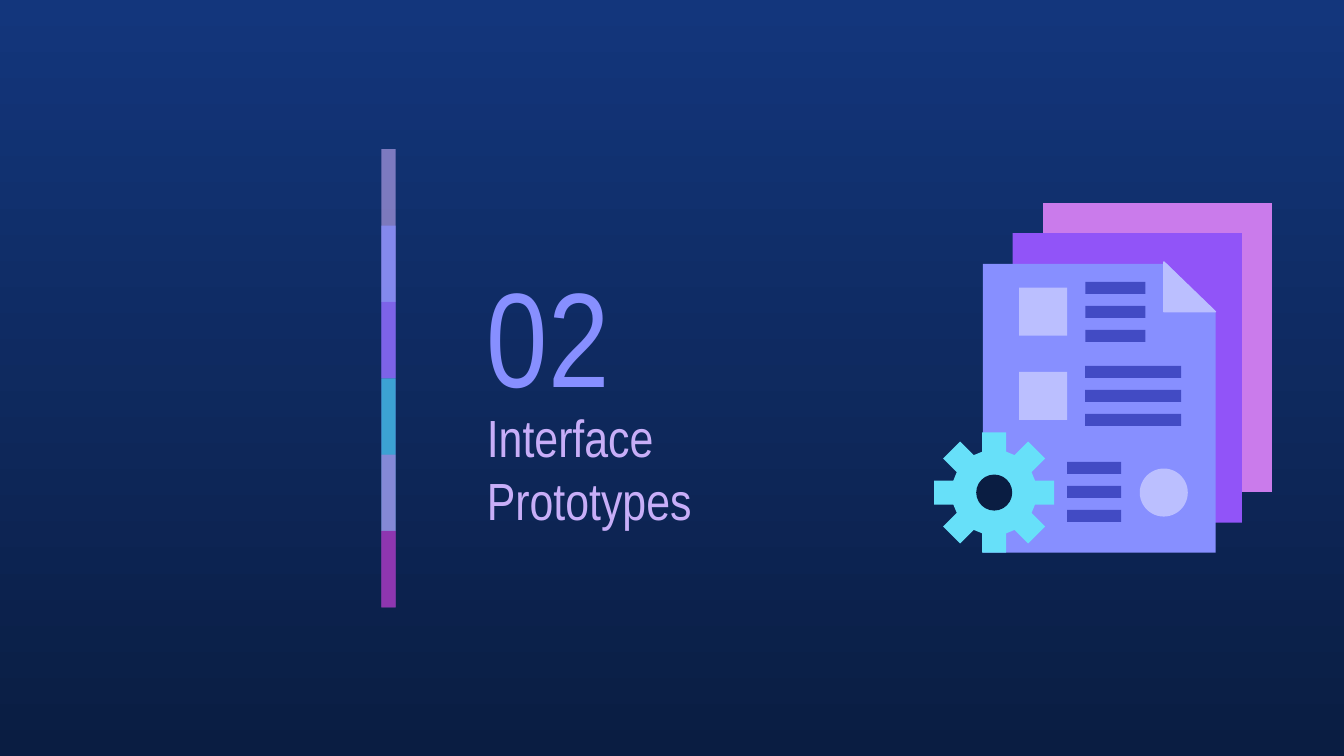
from math import cos, pi, sin

from lxml import etree
from pptx import Presentation
from pptx.dml.color import RGBColor
from pptx.enum.shapes import MSO_SHAPE
from pptx.enum.text import MSO_ANCHOR, MSO_AUTO_SIZE, PP_ALIGN
from pptx.oxml.ns import qn
from pptx.util import Cm, Pt

RECTANGLE = MSO_SHAPE.RECTANGLE
OVAL = MSO_SHAPE.OVAL
MIDDLE = MSO_ANCHOR.MIDDLE
LEFT = PP_ALIGN.LEFT
FIXED_SIZE = MSO_AUTO_SIZE.NONE

FONT = "Arial Narrow"
COLOURS = {
    "sky": "13367C",
    "night": "0A1D42",
    "lilac": "C8AEF8",
    "periwinkle": "878FFF",
    "violet": "9154F8",
    "teal": "35C2DF",
    "orchid": "CA7BEB",
    "plum": "972CB4",
    "aqua": "67E0F9",
    "pale": "BBBFFF",
    "indigo": "424BC4",
}
STRIPE = [("lilac", 59), ("periwinkle", 74), ("violet", 53),
          ("teal", 76), ("orchid", 56), ("plum", 74)]
ICON_UNIT = Cm(0.227)


def colour(name):
    return RGBColor.from_string(COLOURS[name])


def paint(shape, fill, opacity=100, outline=None):
    shape.shadow.inherit = False
    shape.fill.solid()
    shape.fill.fore_color.rgb = colour(fill)
    if opacity < 100:
        tint = shape.fill._xPr.find(qn("a:solidFill"))[0]
        etree.SubElement(tint, qn("a:alpha")).set("val", str(opacity * 1000))
    if outline:
        shape.line.color.rgb = colour(outline)
        shape.line.width = Pt(0.75)
    else:
        shape.line.fill.background()


def write_text(holder, text, *, size, tone):
    frame = holder.text_frame
    frame.word_wrap = True
    frame.auto_size = FIXED_SIZE
    frame.vertical_anchor = MIDDLE
    frame.margin_left = frame.margin_right = Cm(0.25)
    frame.margin_top = frame.margin_bottom = Cm(0.25)
    para = frame.paragraphs[0]
    para.alignment = LEFT
    para.line_spacing = 1.0
    para.space_before = Pt(0)
    span = para.add_run()
    span.text = text
    span.font.name = FONT
    span.font.size = Pt(size)
    span.font.bold = False
    span.font.color.rgb = colour(tone)


def place(holder, left, top, width, height):
    holder.left, holder.top = left, top
    holder.width, holder.height = width, height


def set_background(page):
    fill = page.background.fill
    fill.gradient()
    fill.gradient_angle = 270
    for stop, name in zip(fill.gradient_stops, ("sky", "night")):
        stop.color.rgb = colour(name)


def add_stripe(page, left, top, width, height):
    bars = page.shapes.add_group_shape().shapes
    step = height // len(STRIPE)
    for index, (name, opacity) in enumerate(STRIPE):
        bar_height = min(2, len(STRIPE) - index) * step
        bar = bars.add_shape(RECTANGLE, left, top + index * step, width, bar_height)
        paint(bar, name, opacity)


def add_heading(page, left, top, width):
    title, number = page.placeholders
    place(number, left, top, Cm(4.45), Cm(3.43))
    write_text(number, "02", size=72, tone="periwinkle")
    place(title, left, top + Cm(3.4), width, Cm(1.7))
    write_text(title, "Interface Prototypes", size=28, tone="lilac")


def gear_points(centre_x, centre_y, teeth=8, root=3.4, tip=5):
    points = []
    for tooth in range(teeth):
        angle = 2 * pi * tooth / teeth
        for along, across in ((root, -1), (tip, -1), (tip, 1), (root, 1)):
            points.append((centre_x + along * cos(angle) - across * sin(angle),
                           centre_y + along * sin(angle) + across * cos(angle)))
    return points


def add_documents_icon(page, left, top):
    parts = page.shapes.add_group_shape().shapes

    def outline(points, fill, edge=None):
        corners = [(left + round(x * ICON_UNIT), top + round(y * ICON_UNIT))
                   for x, y in points]
        builder = parts.build_freeform(*corners[0], scale=1.0)
        builder.add_line_segments(corners[1:], close=True)
        paint(builder.convert_to_shape(), fill, outline=edge)

    def block(kind, x, y, width, height, fill):
        shape = parts.add_shape(kind, left + round(x * ICON_UNIT), top + round(y * ICON_UNIT),
                                round(width * ICON_UNIT), round(height * ICON_UNIT))
        paint(shape, fill)

    outline([(9.1, 0), (9.1, 2.5), (25.65, 2.5), (25.65, 24.05),
             (28.15, 24.05), (28.15, 0)], "orchid")
    outline([(6.56, 2.5), (6.56, 5.05), (19.1, 5.05), (23.1, 9.05),
             (23.1, 26.6), (25.65, 26.6), (25.65, 2.5)], "violet")
    outline([(4.07, 5.05), (4.07, 29.1), (23.45, 29.1), (23.45, 9.1),
             (19.4, 5.05)], "periwinkle")
    outline(gear_points(5.02, 24.1), "aqua")
    block(OVAL, 3.52, 22.6, 3, 3, "night")

    for y in (7.05, 14.05):
        block(RECTANGLE, 7.1, y, 4, 4, "pale")
    block(OVAL, 17.14, 22.1, 4, 4, "pale")
    for x, y, width in ((12.6, 6.55, 5), (12.6, 13.55, 8), (11.1, 21.55, 4.5)):
        for line in range(3):
            block(RECTANGLE, x, y + 2 * line, width, 1, "indigo")
    outline([(19.15, 4.9), (19.15, 9.05), (23.45, 9.05)], "pale", edge="pale")


def main():
    deck = Presentation()
    deck.slide_width, deck.slide_height = Cm(25.4), Cm(14.29)
    page = deck.slides.add_slide(deck.slide_layouts[0])
    set_background(page)
    add_stripe(page, Cm(7.21), Cm(2.82), Cm(0.27), Cm(8.66))
    add_heading(page, Cm(8.95), Cm(4.6), Cm(7.29))
    add_documents_icon(page, Cm(17.65), Cm(3.84))
    deck.save("out.pptx")


if __name__ == "__main__":
    main()
